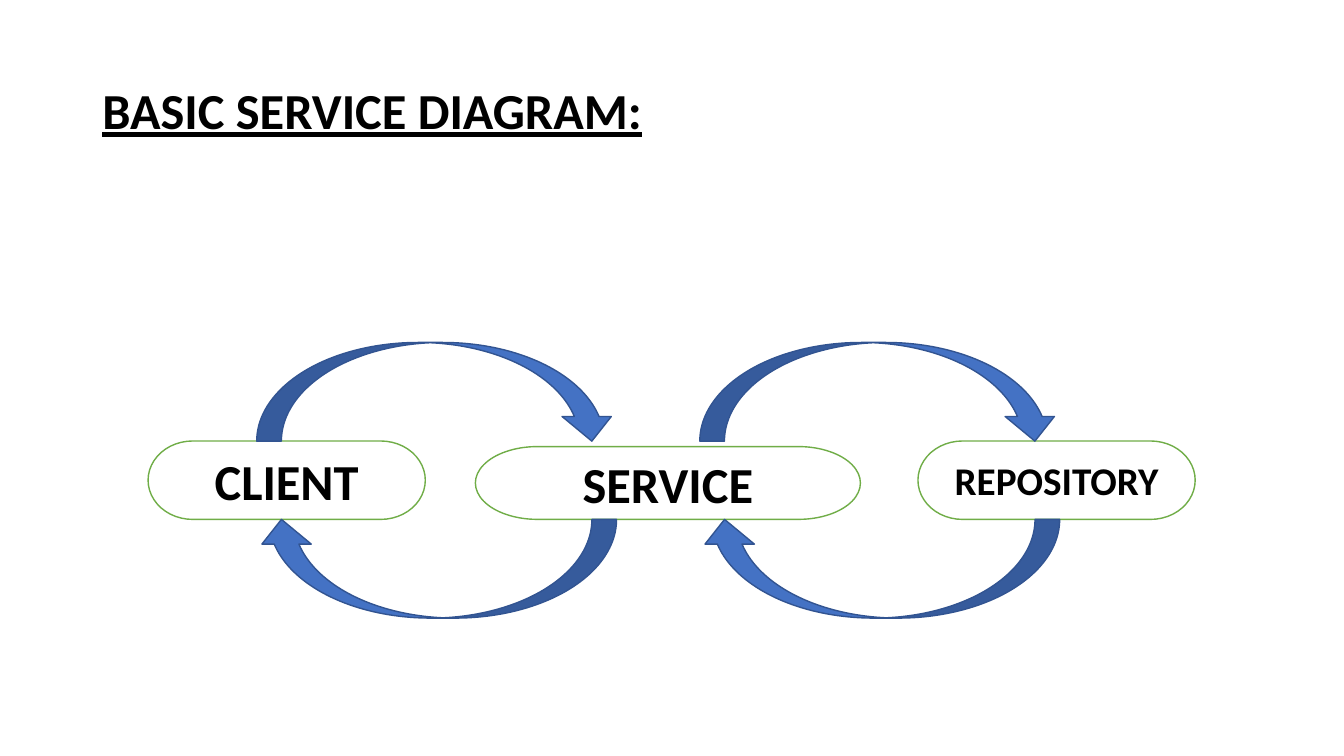
"""Build a slide showing calls between client, service and repository."""
from dataclasses import dataclass

from pptx import Presentation
from pptx.dml.color import RGBColor
from pptx.enum.shapes import MSO_SHAPE
from pptx.enum.text import MSO_ANCHOR, MSO_AUTO_SIZE, PP_ALIGN
from pptx.util import Pt

NODE = MSO_SHAPE.FLOWCHART_TERMINATOR
ARROW = MSO_SHAPE.CURVED_DOWN_ARROW
LEFT, CENTER = PP_ALIGN.LEFT, PP_ALIGN.CENTER
MIDDLE = MSO_ANCHOR.MIDDLE
FIXED = MSO_AUTO_SIZE.NONE


@dataclass(frozen=True)
class Theme:
    font: str = "Calibri"
    ink: str = "000000"
    paper: str = "FFFFFF"
    green: str = "70AD47"
    blue: str = "4472C4"
    navy: str = "325491"
    large: int = 36
    small: int = 28
    line: int = 1


THEME = Theme()
TITLE = "BASIC SERVICE DIAGRAM:"
TITLE_BOX = (66, 28.8, 828, 104.4)
BASE = 371
NODES = [
    ("CLIENT", 105.8, 198, 56, THEME.large),
    ("SERVICE", 339.6, 275, 52, THEME.large),
    ("REPOSITORY", 655.7, 198, 56, THEME.small),
]
LINKS = [183.4, 499.9]
LINK_W, LINK_H = 257, 70.5
ROWS = [(244.6, 0), (BASE, 180)]


def write(shape, text, size, align):
    """Put one bold line of text in a shape."""
    frame = shape.text_frame
    frame.text = text
    frame.word_wrap = True
    frame.auto_size = FIXED
    frame.vertical_anchor = MIDDLE
    para = frame.paragraphs[0]
    para.alignment = align
    font = para.font
    font.name, font.size, font.bold = THEME.font, Pt(size), True
    font.color.rgb = RGBColor.from_string(THEME.ink)
    return para


def draw(slide, kind, box, fill, line):
    """Add a flat shape with a thin outline."""
    shape = slide.shapes.add_shape(kind, *map(Pt, box))
    shape.shadow.inherit = False
    shape.fill.solid()
    shape.fill.fore_color.rgb = RGBColor.from_string(fill)
    shape.line.color.rgb = RGBColor.from_string(line)
    shape.line.width = Pt(THEME.line)
    return shape


deck = Presentation()
deck.slide_width, deck.slide_height = Pt(960), Pt(540)
slide = deck.slides.add_slide(deck.slide_layouts[5])

title = slide.shapes.title
title.left, title.top, title.width, title.height = map(Pt, TITLE_BOX)
para = write(title, TITLE, THEME.large, LEFT)
para.line_spacing = 0.9
para.font.underline = True

for name, left, width, height, size in NODES:
    box = (left, BASE - height, width, height)
    node = draw(slide, NODE, box, THEME.paper, THEME.green)
    write(node, name, size, CENTER)

for top, turn in ROWS:
    for left in LINKS:
        box = (left, top, LINK_W, LINK_H)
        link = draw(slide, ARROW, box, THEME.blue, THEME.navy)
        link.rotation = turn

deck.save("out.pptx")
